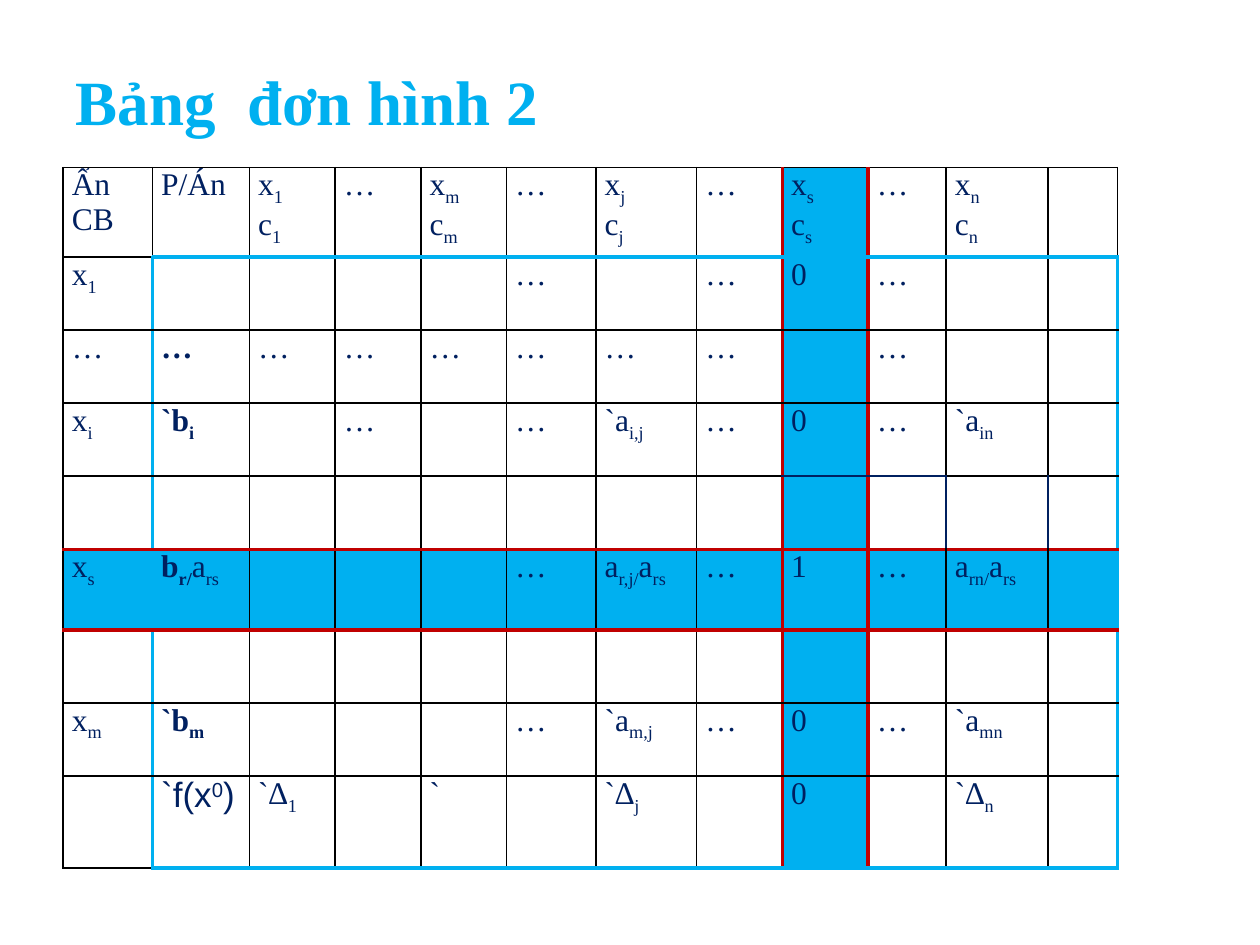
from lxml.etree import SubElement
from pptx import Presentation
from pptx.dml.color import RGBColor
from pptx.enum.text import MSO_ANCHOR, PP_ALIGN
from pptx.oxml.ns import qn
from pptx.util import Inches, Pt

BLACK = RGBColor(0x00, 0x00, 0x00)
NAVY = RGBColor(0x00, 0x20, 0x60)
BLUE = RGBColor(0x00, 0xB0, 0xF0)
RED = RGBColor(0xC0, 0x00, 0x00)
SERIF = "Times New Roman"

WIDTHS = [0.71, 0.77, 0.68, 0.68, 0.68, 0.71, 0.8, 0.68, 0.68, 0.62, 0.81, 0.55]
HEIGHTS = [0.71, 0.58, 0.58, 0.58, 0.58, 0.64, 0.58, 0.58, 0.73]
PIVOT_ROW, PIVOT_COL = 5, 8

# Odd parts between bars are subscripts, or superscripts in the last row's f(x).
ROWS = [
    ["Ẩn CB", "P/Án", "x|1\nc|1", "…", "x|m\nc|m", "…", "x|j\nc|j", "…",
     "x|s\nc|s", "…", "x|n\nc|n", ""],
    ["x|1", "", "", "", "", "…", "", "…", "0", "…", "", ""],
    ["…", "…", "…", "…", "…", "…", "…", "…", "", "…", "", ""],
    ["x|i", "`b|i", "", "…", "", "…", "`a|i,j", "…", "0", "…", "`a|in", ""],
    [""] * 12,
    ["x|s", "b|r/|a|rs", "", "", "", "…", "a|r,j/|a|rs", "…", "1", "…",
     "a|rn/|a|rs", ""],
    [""] * 12,
    ["x|m", "`b|m", "", "", "", "…", "`a|m,j", "…", "0", "…", "`a|mn", ""],
    ["", "`f(x|0|)", "`∆|1", "", "`", "", "`∆|j", "", "0", "", "`∆|n", ""],
]


def write(cell, text, row, col):
    power = "f(x" in text
    frame = cell.text_frame
    for k, line in enumerate(text.split("\n")):
        para = frame.paragraphs[0] if k == 0 else frame.add_paragraph()
        para.alignment = PP_ALIGN.JUSTIFY
        look = {"size": Pt(20 if power else 18), "name": "Arial" if power else SERIF}
        for n, part in enumerate(line.split("|")):
            if not part:
                para.font.size = Pt(18)
                continue
            run = para.add_run()
            run.text = part
            look["bold"] = col == 1 and row > 0 and n < 2 and not power
            for key, value in look.items():
                setattr(run.font, key, value)
            run.font.color.rgb = NAVY
            if n % 2:
                run.font._element.set("baseline", "30000" if power else "-25000")


def edge(cell, side, color):
    width = Pt(2.25 if color in (RED, BLUE) else 1)
    line = SubElement(cell._tc.get_or_add_tcPr(), qn(f"a:ln{side}"), w=str(width))
    fill = SubElement(line, qn("a:solidFill"))
    SubElement(fill, qn("a:srgbClr"), val=str(color))


deck = Presentation()
deck.slide_width, deck.slide_height = Inches(10), Inches(7.5)
slide = deck.slides.add_slide(deck.slide_layouts[5])

title = slide.shapes.title
place = {"left": 0.5, "top": 0.42, "width": 9, "height": 0.75}
for key, value in place.items():
    setattr(title, key, Inches(value))
title.text_frame.text = "Bảng  đơn hình 2"
title.text_frame.vertical_anchor = MSO_ANCHOR.MIDDLE
head = title.text_frame.paragraphs[0]
head.alignment = PP_ALIGN.LEFT
font = head.runs[0].font
for key, value in {"size": Pt(36), "name": SERIF, "bold": True}.items():
    setattr(font, key, value)
font.color.rgb = BLUE

table = slide.shapes.add_table(
    len(HEIGHTS), len(WIDTHS), Inches(0.5), Inches(1.33),
    Inches(sum(WIDTHS)), Inches(sum(HEIGHTS))).table
table.first_row = table.horz_banding = False
for column, width in zip(table.columns, WIDTHS):
    column.width = Inches(width)
for band, height in zip(table.rows, HEIGHTS):
    band.height = Inches(height)

pad = {"margin_left": 0.07, "margin_right": 0.07, "margin_top": 0, "margin_bottom": 0}
for row, texts in enumerate(ROWS):
    for col, text in enumerate(texts):
        cell = table.cell(row, col)
        for key, value in pad.items():
            setattr(cell, key, Inches(value))
        write(cell, text, row, col)

        for side, pos in (("L", col), ("R", col + 1)):
            color = BLACK
            if pos in (PIVOT_COL, PIVOT_COL + 1):
                color = RED
            elif row > 0 and pos in (1, len(WIDTHS)):
                color = BLUE
            elif row == 4 and pos in (10, 11):
                color = NAVY
            edge(cell, side, color)
        for side, pos in (("T", row), ("B", row + 1)):
            color = BLACK
            if pos in (PIVOT_ROW, PIVOT_ROW + 1):
                color = RED
            elif col > 0 and pos in (1, len(HEIGHTS)):
                color = BLUE
            elif pos == 4 and col in (8, 9):
                color = NAVY
            edge(cell, side, color)

        if row == PIVOT_ROW or col == PIVOT_COL:
            cell.fill.solid()
            cell.fill.fore_color.rgb = BLUE
        else:
            cell.fill.background()

deck.save("out.pptx")
